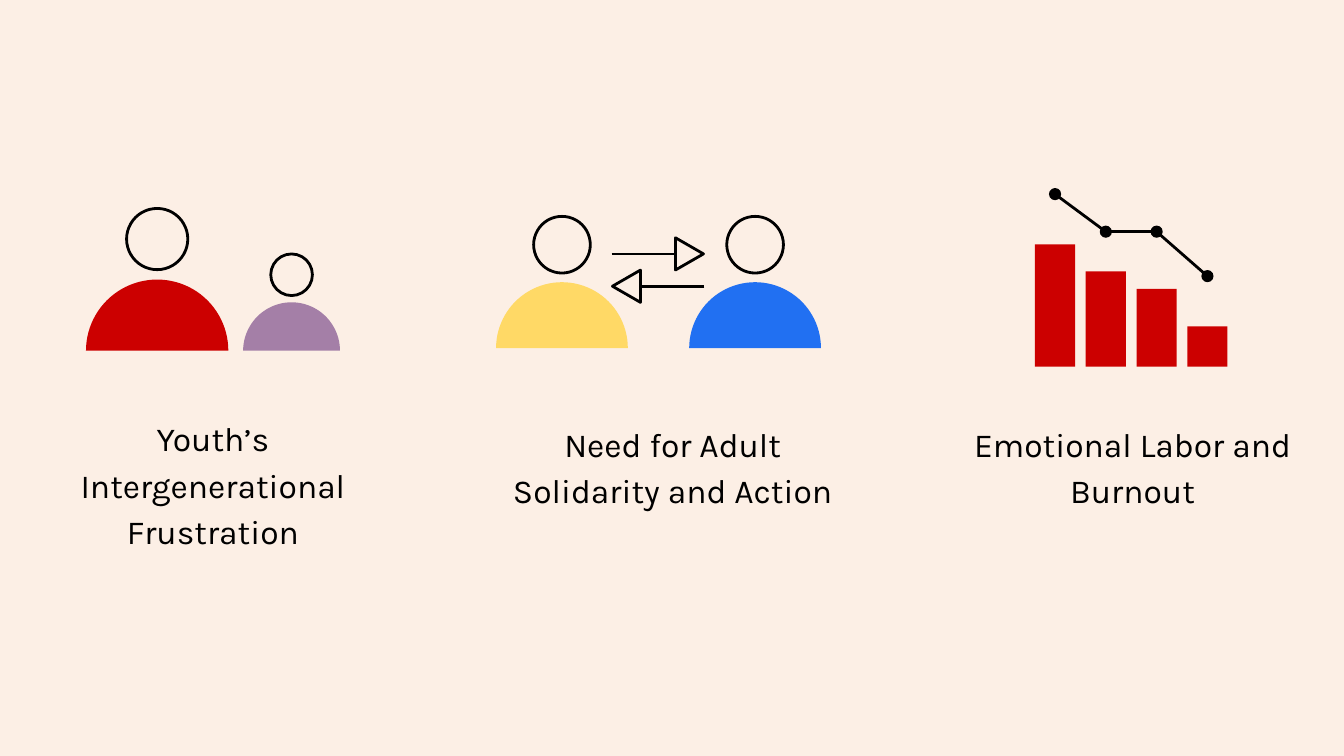
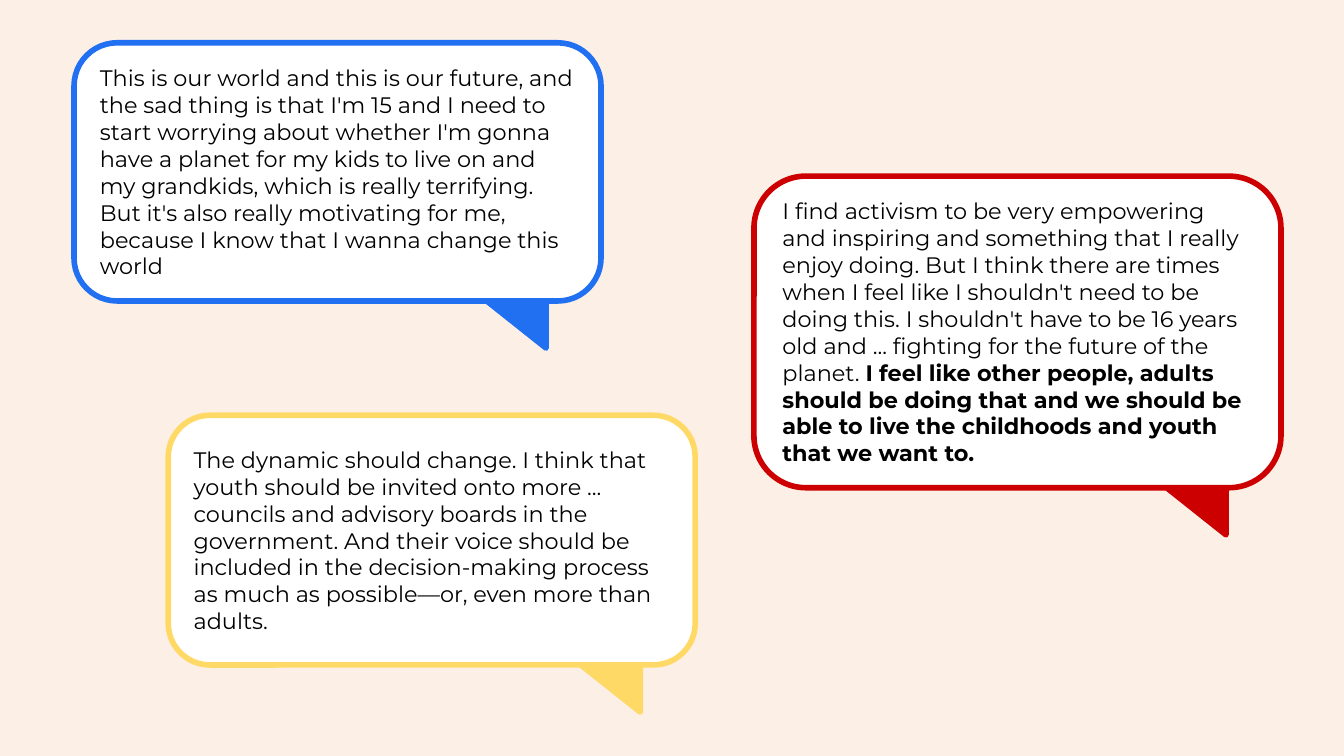
from itertools import pairwise
from typing import NamedTuple

from lxml import etree
from pptx import Presentation
from pptx import util as u
from pptx.dml import color
from pptx.enum import shapes, text
from pptx.oxml import ns

CREAM, WHITE, BLACK = "FCEFE5", "FFFFFF", "000000"
RED, PURPLE, YELLOW, BLUE = "CC0000", "A47FA7", "FFD966", "2170F2"
CAPTION_FONT, QUOTE_FONT = "Karla", "Montserrat"
PRESET = shapes.MSO_SHAPE


class Caption(NamedTuple):
    wording: str
    top: float
    space_after: float


class Person(NamedTuple):
    center: float
    base: float
    width: float
    fill: str


class Arrow(NamedTuple):
    start: float
    end: float
    y: float


class Month(NamedTuple):
    bar_height: float
    dot_y: float


class Bubble(NamedTuple):
    left: float
    top: float
    height: float
    outline: str
    quote: str
    emphasis: str = ""


CAPTIONS = [
    Caption("Youth’s Intergenerational Frustration", 7.54, 0),
    Caption("Need for Adult Solidarity and Action", 7.65, 12),
    Caption("Emotional Labor and Burnout", 7.65, 12),
]
CAPTION_LEFT, CAPTION_STEP = 0.43, 8.69

ADULT_AND_YOUTH = [Person(2.97, 6.63, 2.69, RED), Person(5.51, 6.63, 1.83, PURPLE)]
ALLIES = [Person(10.62, 6.58, 2.49, YELLOW), Person(14.27, 6.58, 2.49, BLUE)]
EXCHANGE = [Arrow(11.56, 12.78, 4.8), Arrow(13.31, 12.09, 5.41)]

DECLINE = [Month(2.31, 3.67), Month(1.8, 4.38), Month(1.47, 4.38), Month(0.76, 5.22)]
BAR_LEFT, BAR_STEP, BAR_WIDTH, BAR_BASE = 19.56, 0.96, 0.76, 6.93
DOT = 0.23

BUBBLE_WIDTH = 9.96
TAIL_OFFSET, TAIL_WIDTH, TAIL_HEIGHT = 7.8, 1.12, 0.89
BUBBLES = [
    Bubble(
        1.4, 0.81, 4.88, BLUE,
        "This is our world and this is our future, and the sad thing is that I'm 15 "
        "and I need to start worrying about whether I'm gonna have a planet for my "
        "kids to live on and my grandkids, which is really terrifying. But it's also "
        "really motivating for me, because I know that I wanna change this world",
    ),
    Bubble(
        14.25, 3.33, 5.89, RED,
        "I find activism to be very empowering and inspiring and something that I "
        "really enjoy doing. But I think there are times when I feel like I shouldn't "
        "need to be doing this. I shouldn't have to be 16 years old and ... fighting "
        "for the future of the planet. ",
        "I feel like other people, adults should be doing that and we should be able "
        "to live the childhoods and youth that we want to.",
    ),
    Bubble(
        3.18, 7.85, 4.72, YELLOW,
        "The dynamic should change. I think that youth should be invited onto more ... "
        "councils and advisory boards in the government. And their voice should be "
        "included in the decision-making process as much as possible—or, even more "
        "than adults.",
    ),
]


def paint(target, hex_color: str) -> None:
    """Give a fill one solid colour."""
    target.solid()
    target.fore_color.rgb = color.RGBColor.from_string(hex_color)


def add_figure(group, preset, left: float, top: float, width: float, height: float,
               fill: str = "", outline: str = "", weight: float = 1.5, rotation: float = 0):
    figure = group.shapes.add_shape(preset, u.Cm(left), u.Cm(top), u.Cm(width), u.Cm(height))
    figure.shadow.inherit = False
    figure.rotation = rotation
    if fill:
        paint(figure.fill, fill)
    else:
        figure.fill.background()
    if outline:
        paint(figure.line.fill, outline)
        figure.line.width = u.Pt(weight)
    else:
        figure.line.fill.background()
    return figure


def add_line(group, start: tuple[float, float], end: tuple[float, float]) -> None:
    line = group.shapes.add_connector(
        shapes.MSO_CONNECTOR.STRAIGHT, *(u.Cm(value) for value in (*start, *end)))
    paint(line.line.fill, BLACK)
    line.line.width = u.Pt(1.5)
    etree.SubElement(line._element.spPr, ns.qn("a:effectLst"))


def format_frame(frame, font_name: str, size: float, alignment, anchor) -> None:
    frame.word_wrap = True
    frame.vertical_anchor = anchor
    frame.margin_left = frame.margin_right = u.Cm(0.25)
    frame.margin_top = frame.margin_bottom = u.Cm(0.25)
    for paragraph in frame.paragraphs:
        paragraph.alignment = alignment
        for run in paragraph.runs:
            run.font.name = font_name
            run.font.size = u.Pt(size)
            paint(run.font.fill, BLACK)


def add_caption(slide, caption: Caption, column: int) -> None:
    left = CAPTION_LEFT + column * CAPTION_STEP
    box = slide.shapes.add_textbox(u.Cm(left), u.Cm(caption.top), u.Cm(7.19), u.Cm(0.86))
    box.text_frame.text = caption.wording
    format_frame(box.text_frame, CAPTION_FONT, 18, text.PP_ALIGN.CENTER, text.MSO_ANCHOR.TOP)
    paragraph = box.text_frame.paragraphs[0]
    paragraph.line_spacing = 1.15
    paragraph.space_after = u.Pt(caption.space_after)


def add_person(group, person: Person) -> None:
    """Draw a half-disc body with a head whose top is one body width above the base."""
    width, head = person.width, 0.43 * person.width
    body = add_figure(group, PRESET.PIE, person.center - width / 2, person.base - width / 2,
                      width, width, fill=person.fill, rotation=90)
    body.adjustments[0], body.adjustments[1] = 54, 162
    add_figure(group, PRESET.OVAL, person.center - head / 2, person.base - width,
               head, head, outline=BLACK)


def add_arrow(group, arrow: Arrow) -> None:
    """Draw a shaft ending in an open triangle."""
    width, height = 0.61, 0.53
    direction = 1 if arrow.end > arrow.start else -1
    center = arrow.end + direction * 0.25
    add_line(group, (arrow.start, arrow.y), (arrow.end, arrow.y))
    add_figure(group, PRESET.ISOSCELES_TRIANGLE, center - width / 2, arrow.y - height / 2,
               width, height, outline=BLACK, rotation=90 * direction % 360)


def add_decline(group) -> None:
    """Draw the falling bars with the dotted trend above them."""
    trend = []
    for index, month in enumerate(DECLINE):
        left = BAR_LEFT + index * BAR_STEP
        add_figure(group, PRESET.RECTANGLE, left, BAR_BASE - month.bar_height,
                   BAR_WIDTH, month.bar_height, fill=RED)
        trend.append((left + BAR_WIDTH / 2, month.dot_y))
    for x, y in trend:
        add_figure(group, PRESET.OVAL, x - DOT / 2, y - DOT / 2, DOT, DOT, fill=BLACK)
    for start, end in pairwise(trend):
        add_line(group, start, end)


def add_bubble(slide, bubble: Bubble) -> None:
    group = slide.shapes.add_group_shape()
    add_figure(group, PRESET.RIGHT_TRIANGLE, bubble.left + TAIL_OFFSET,
               bubble.top + bubble.height, TAIL_WIDTH, TAIL_HEIGHT,
               fill=bubble.outline, outline=bubble.outline, weight=3, rotation=180)
    balloon = add_figure(group, PRESET.ROUNDED_RECTANGLE, bubble.left, bubble.top,
                         BUBBLE_WIDTH, bubble.height,
                         fill=WHITE, outline=bubble.outline, weight=3)
    balloon.adjustments[0] = 0.167
    frame = balloon.text_frame
    frame.text = bubble.quote
    if bubble.emphasis:
        emphasis = frame.paragraphs[0].add_run()
        emphasis.text = bubble.emphasis
        emphasis.font.bold = True
    format_frame(frame, QUOTE_FONT, 12, text.PP_ALIGN.LEFT, text.MSO_ANCHOR.MIDDLE)


def build_themes(slide) -> None:
    for column, caption in enumerate(CAPTIONS):
        add_caption(slide, caption, column)
    frustration, solidarity, burnout = (slide.shapes.add_group_shape() for _ in CAPTIONS)
    for person in ADULT_AND_YOUTH:
        add_person(frustration, person)
    for arrow in EXCHANGE:
        add_arrow(solidarity, arrow)
    for person in ALLIES:
        add_person(solidarity, person)
    add_decline(burnout)


def build_quotes(slide) -> None:
    for bubble in BUBBLES:
        add_bubble(slide, bubble)


def main() -> None:
    deck = Presentation()
    deck.slide_width, deck.slide_height = u.Cm(25.4), u.Cm(14.29)
    paint(deck.slide_master.background.fill, CREAM)
    blank = deck.slide_layouts[6]
    for build in (build_themes, build_quotes):
        build(deck.slides.add_slide(blank))
    deck.save("out.pptx")


if __name__ == "__main__":
    main()
